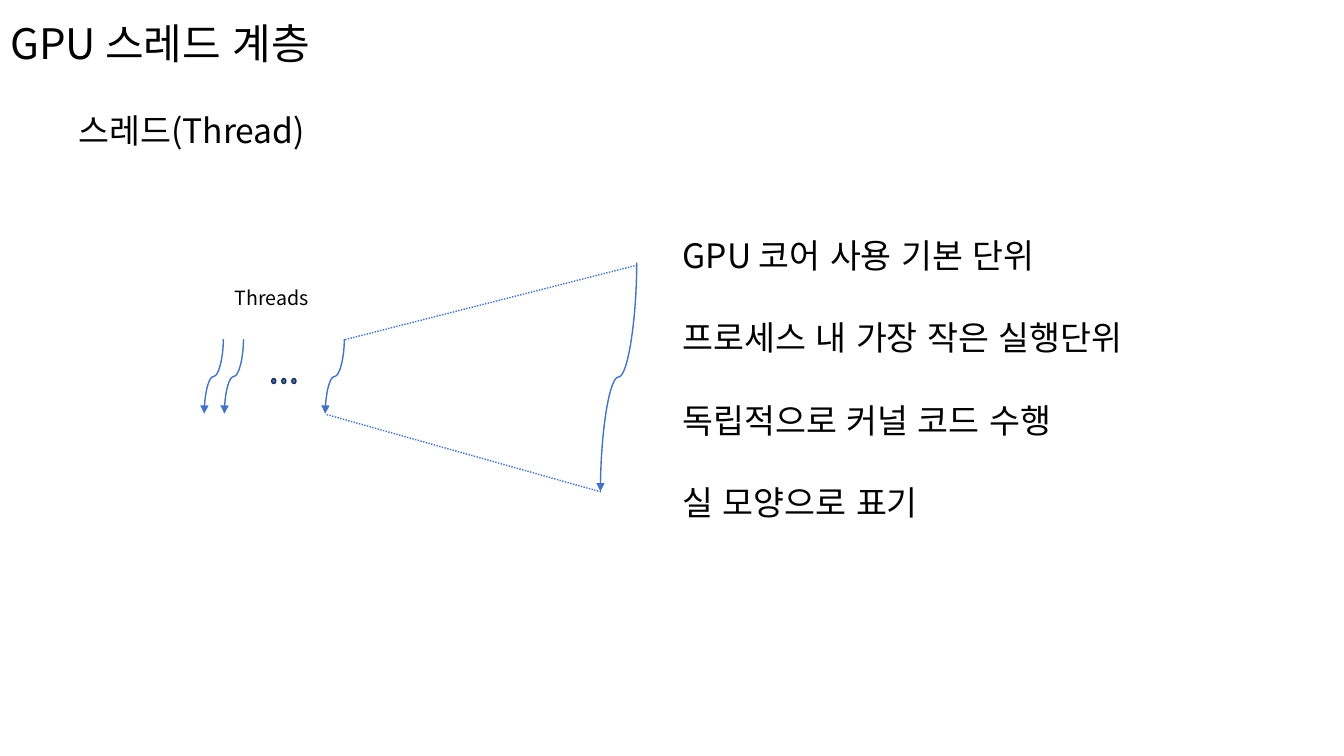
from lxml.etree import SubElement
from pptx import Presentation
from pptx.dml.color import RGBColor
from pptx.enum.dml import MSO_LINE
from pptx.enum.lang import MSO_LANGUAGE_ID as LANG
from pptx.enum.shapes import MSO_CONNECTOR as CONN, MSO_SHAPE as SHAPE
from pptx.enum.text import MSO_ANCHOR as ANCHOR, MSO_AUTO_SIZE as AUTO, PP_ALIGN as ALIGN
from pptx.oxml.ns import qn
from pptx.util import Emu, Pt

FONT = "Noto Sans CJK KR"
COLORS = {"text": "000000", "line": "4472C4", "dot_edge": "1E3256"}
FACTS = [
    "GPU 코어 사용 기본 단위",
    "프로세스 내 가장 작은 실행단위",
    "독립적으로 커널 코드 수행",
    "실 모양으로 표기",
]


def px(n):
    return Emu(n * 9144)


def color(name):
    return RGBColor.from_string(COLORS[name])


def place(sp, x, y, w, h):
    sp.left, sp.top, sp.width, sp.height = px(x), px(y), px(w), px(h)


def add_run(p, text, size):
    r = p.add_run()
    r.text = text
    r.font.size = Pt(size)
    r.font.language_id = LANG.KOREAN
    r.font.color.rgb = color("text")
    r.font.name = FONT
    SubElement(r._r.get_or_add_rPr(), qn("a:ea"), typeface=FONT)


def add_title(slide, text):
    sp = slide.shapes.title
    place(sp, 0, 2, 1333, 88)
    tf = sp.text_frame
    tf.auto_size = AUTO.NONE
    tf.vertical_anchor = ANCHOR.MIDDLE
    p = tf.paragraphs[0]
    p.alignment = ALIGN.LEFT
    p.line_spacing = 0.9
    add_run(p, text, 30)


def add_list(slide, items):
    sp = slide.placeholders[1]
    place(sp, 667, 228, 530, 296)
    tf = sp.text_frame
    tf.auto_size = AUTO.NONE
    tf.vertical_anchor = ANCHOR.TOP
    for i, item in enumerate(items):
        p = tf.add_paragraph() if i else tf.paragraphs[0]
        pPr = p._p.get_or_add_pPr()
        pPr.set("marL", "0")
        pPr.set("indent", "0")
        SubElement(pPr, qn("a:buNone"))
        p.line_spacing = 1.0
        p.space_before = Pt(30 if i else 0)
        add_run(p, item, 24)


def add_label(slide, text, x, y, w, h, size, align=ALIGN.LEFT):
    tf = slide.shapes.add_textbox(px(x), px(y), px(w), px(h)).text_frame
    tf.word_wrap = True
    p = tf.paragraphs[0]
    p.alignment = align
    add_run(p, text, size)


def add_line(slide, kind, x1, y1, x2, y2):
    c = slide.shapes.add_connector(kind, px(x1), px(y1), px(x2), px(y2))
    c.line.color.rgb = color("line")
    c.line.width = Pt(1)
    SubElement(c._element.spPr, qn("a:effectLst"))
    return c


def add_thread(slide, x1, y1, x2, y2):
    length, sway = y2 - y1, x1 - x2
    left = (x1 + x2 - length) // 2
    top = (y1 + y2 - sway) // 2
    c = add_line(slide, CONN.CURVE, left, top, left + length, top + sway)
    c._element.spPr.get_or_add_xfrm().set("rot", "5400000")
    SubElement(c.line._get_or_add_ln(), qn("a:tailEnd"), type="triangle")


def add_zoom_line(slide, x1, y1, x2, y2):
    c = add_line(slide, CONN.STRAIGHT, x1, y1, x2, y2)
    c.line.dash_style = MSO_LINE.ROUND_DOT


def add_dot(slide, x, y):
    sp = slide.shapes.add_shape(SHAPE.FLOWCHART_CONNECTOR, px(x), px(y), px(5), px(4))
    sp.rotation = 90
    sp.shadow.inherit = False
    sp.fill.solid()
    sp.fill.fore_color.rgb = color("line")
    sp.line.color.rgb = color("dot_edge")
    sp.line.width = Pt(1)


def main():
    prs = Presentation()
    prs.slide_width, prs.slide_height = px(1333), px(750)
    slide = prs.slides.add_slide(prs.slide_layouts[1])

    add_title(slide, "GPU 스레드 계층")
    add_label(slide, "스레드(Thread)", 68, 104, 699, 50, 24)

    for x in (222, 242, 342):
        add_thread(slide, x, 337, x - 19, 411)
    for i in range(3):
        add_dot(slide, 269 + 10 * i, 376)
    add_label(slide, "Threads", 210, 279, 119, 34, 14, ALIGN.CENTER)

    add_zoom_line(slide, 632, 263, 342, 337)
    add_zoom_line(slide, 596, 488, 323, 411)
    add_thread(slide, 632, 261, 596, 488)

    add_list(slide, FACTS)
    prs.save("out.pptx")


if __name__ == "__main__":
    main()
